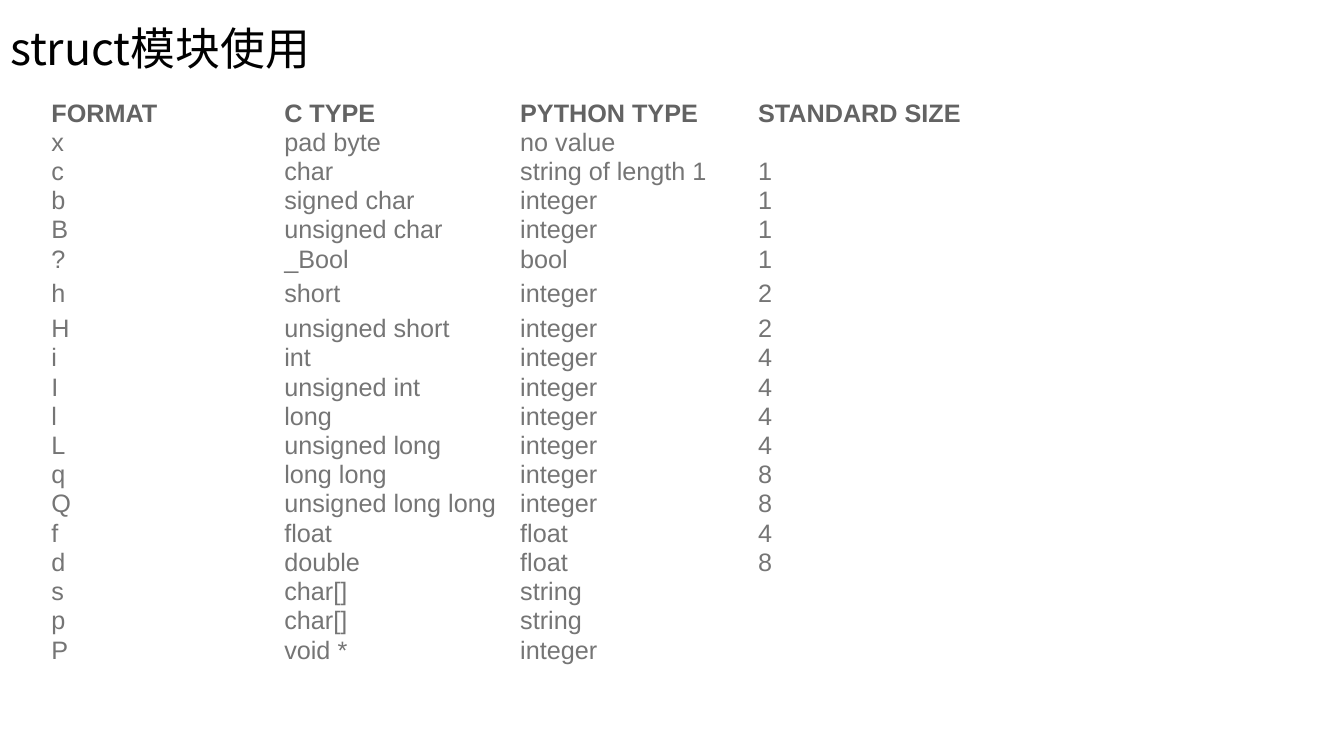
from lxml.etree import SubElement
from pptx import Presentation
from pptx.dml.color import RGBColor
from pptx.enum.text import MSO_ANCHOR, PP_ALIGN
from pptx.oxml.ns import qn
from pptx.util import Inches, Pt

# Content
TITLE = "struct模块使用"
HEADER = ("FORMAT", "C TYPE", "PYTHON TYPE", "STANDARD SIZE")
FORMATS = [
    ("x", "pad byte", "no value", ""),
    ("c", "char", "string of length 1", "1"),
    ("b", "signed char", "integer", "1"),
    ("B", "unsigned char", "integer", "1"),
    ("?", "_Bool", "bool", "1"),
    ("h", "short", "integer", "2"),
    ("H", "unsigned short", "integer", "2"),
    ("i", "int", "integer", "4"),
    ("I", "unsigned int", "integer", "4"),
    ("l", "long", "integer", "4"),
    ("L", "unsigned long", "integer", "4"),
    ("q", "long long", "integer", "8"),
    ("Q", "unsigned long long", "integer", "8"),
    ("f", "float", "float", "4"),
    ("d", "double", "float", "8"),
    ("s", "char[]", "string", ""),
    ("p", "char[]", "string", ""),
    ("P", "void *", "integer", ""),
]

# Style and measures
BLACK = RGBColor(0x00, 0x00, 0x00)
HEADER_GREY = RGBColor(0x63, 0x63, 0x63)
BODY_GREY = RGBColor(0x75, 0x75, 0x75)
TITLE_FONT = "Noto Sans CJK SC"
TABLE_FONT = "Arial"
PLAIN_TABLE_STYLE = "{2D5ABB26-0587-4C30-8999-92F81FD0307C}"
COLUMN_WIDTHS = (2.31, 2.34, 2.36, 2.32)
ROW_HEIGHT, TALL_ROW_HEIGHT = 0.29, 0.4
TALL_FORMAT = "h"


def set_font(paragraph, name, size, color, bold=False):
    font = paragraph.font
    font.name, font.size, font.bold = name, Pt(size), bold
    font.color.rgb = color


prs = Presentation()
prs.slide_width, prs.slide_height = Inches(13.33), Inches(7.5)
slide = prs.slides.add_slide(prs.slide_layouts[5])

# Title
title = slide.shapes.title
title.left, title.top = Inches(0), Inches(0)
title.width, title.height = Inches(10.31), Inches(0.94)
title.text_frame.text = TITLE
title.text_frame.vertical_anchor = MSO_ANCHOR.MIDDLE
heading = title.text_frame.paragraphs[0]
heading.alignment = PP_ALIGN.LEFT
set_font(heading, TITLE_FONT, 32, BLACK)
east_asian = SubElement(heading.font._element, qn("a:ea"))
east_asian.set("typeface", TITLE_FONT)

# Table of format characters
rows = [HEADER] + FORMATS
heights = [TALL_ROW_HEIGHT if row[0] == TALL_FORMAT else ROW_HEIGHT for row in rows]
frame = slide.shapes.add_table(
    len(rows), len(HEADER), Inches(0.51), Inches(0.98),
    Inches(sum(COLUMN_WIDTHS)), Inches(sum(heights)))
table = frame.table
table.horz_banding = False
table._tbl.tblPr.find(qn("a:tableStyleId")).text = PLAIN_TABLE_STYLE
for column, width in zip(table.columns, COLUMN_WIDTHS):
    column.width = Inches(width)

for r, (row, height) in enumerate(zip(rows, heights)):
    table.rows[r].height = Inches(height)
    is_header = r == 0
    for c, value in enumerate(row):
        cell = table.cell(r, c)
        cell.fill.background()
        cell.vertical_anchor = MSO_ANCHOR.MIDDLE
        cell.margin_left = cell.margin_right = cell.margin_top = cell.margin_bottom = 0
        cell.text = value
        set_font(cell.text_frame.paragraphs[0], TABLE_FONT, 18,
                 HEADER_GREY if is_header else BODY_GREY, is_header)

prs.save("out.pptx")
